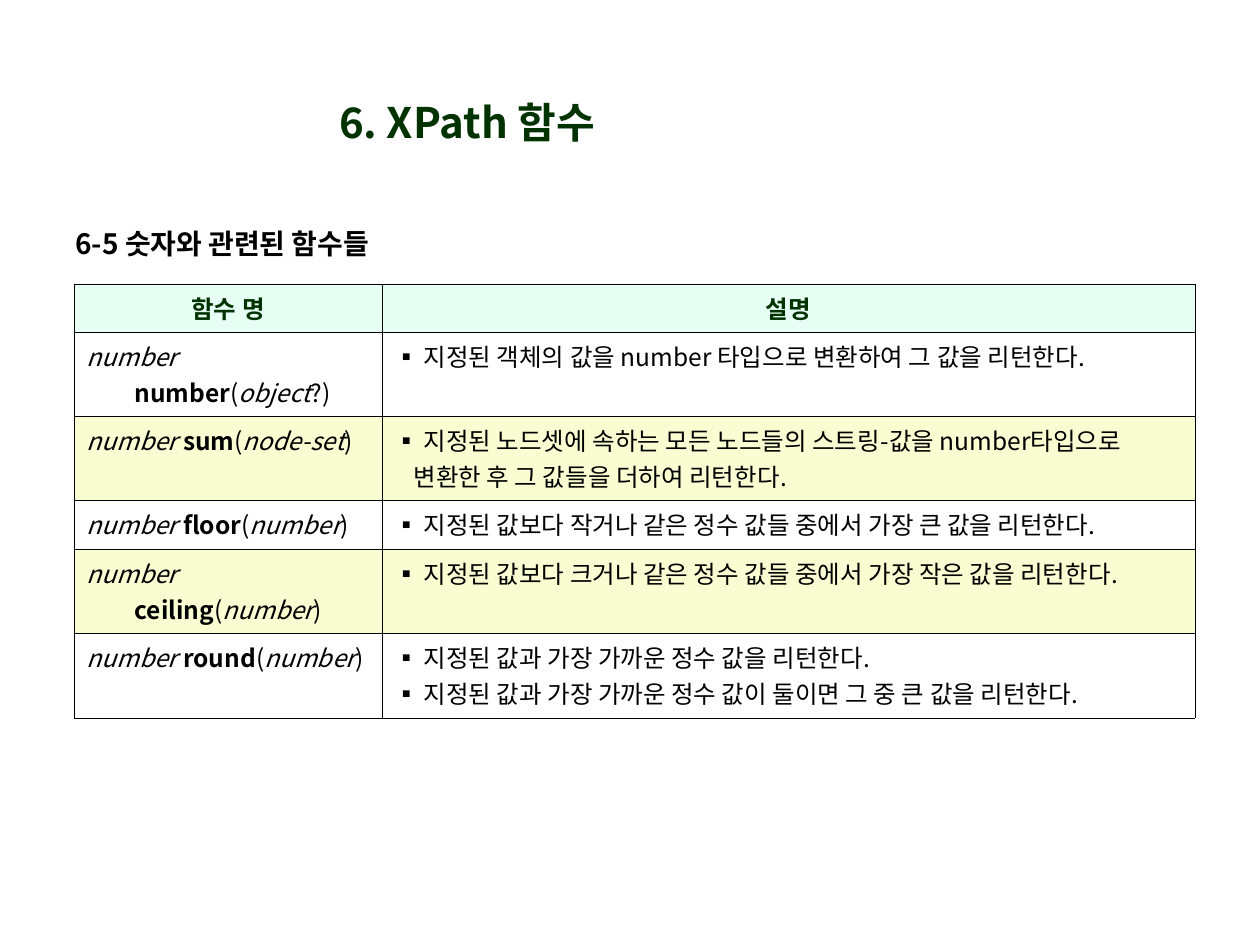
from lxml.etree import SubElement
from pptx import Presentation
from pptx.dml.color import RGBColor
from pptx.enum.text import MSO_ANCHOR as ANCHOR, PP_ALIGN as ALIGN
from pptx.oxml.ns import qn
from pptx.util import Emu, Pt

FONT = "Noto Sans CJK KR"
BLACK = RGBColor(0x00, 0x00, 0x00)
GREEN = RGBColor(0x00, 0x33, 0x00)
MINT = RGBColor(0xE6, 0xFE, 0xF4)
CREAM = RGBColor(0xF9, 0xFD, 0xD1)

TITLE = dict(size=Pt(24), bold=True, color=GREEN)
SUBTITLE = dict(size=Pt(16), bold=True, color=BLACK)
HEADER = dict(size=Pt(14), bold=True, color=GREEN)
BODY = dict(size=Pt(14), bold=False, italic=False, color=BLACK)

# Pixel measures of the table
COLS = (308, 813)
HEIGHTS = (48, 84, 84, 49, 84, 85)
HANG = 48          # hanging indent of a signature
BULLET_HANG = 29   # bullet to text
CONTINUED = 19     # indent of a continued line

HEADINGS = ("함수 명", "설명")
# name, argument, closing text, bulleted lines, continued line
FUNCTIONS = (
    ("number", "object", "?)",
     ["지정된 객체의 값을 number 타입으로 변환하여 그 값을 리턴한다."], None),
    ("sum", "node-set", ")",
     ["지정된 노드셋에 속하는 모든 노드들의 스트링-값을 number타입으로"],
     "변환한 후 그 값들을 더하여 리턴한다."),
    ("floor", "number", ")",
     ["지정된 값보다 작거나 같은 정수 값들 중에서 가장 큰 값을 리턴한다."], None),
    ("ceiling", "number", ")",
     ["지정된 값보다 크거나 같은 정수 값들 중에서 가장 작은 값을 리턴한다."], None),
    ("round", "number", ")",
     ["지정된 값과 가장 가까운 정수 값을 리턴한다.",
      "지정된 값과 가장 가까운 정수 값이 둘이면 그 중 큰 값을 리턴한다."], None),
)


def px(n):
    return Emu(round(n * 914400 / 126))


def add_run(p, text, style):
    r = p.add_run()
    r.text = text
    r.font.name = FONT
    for key, value in style.items():
        if key == "color":
            r.font.color.rgb = value
        else:
            setattr(r.font, key, value)
    SubElement(r.font._element, qn("a:ea")).set("typeface", FONT)


def set_indent(p, left, first=0):
    pPr = p._p.get_or_add_pPr()
    pPr.set("marL", str(px(left)))
    pPr.set("indent", str(px(first)))
    return pPr


def add_bullet(p):
    pPr = set_indent(p, BULLET_HANG, -BULLET_HANG)
    SubElement(pPr, qn("a:buFont")).set("typeface", FONT)
    SubElement(pPr, qn("a:buChar")).set("char", "▪")


def add_text(slide, box, text, style, align, anchor):
    tf = slide.shapes.add_textbox(*map(px, box)).text_frame
    tf.word_wrap = True
    tf.vertical_anchor = anchor
    tf.paragraphs[0].alignment = align
    add_run(tf.paragraphs[0], text, style)


def format_cell(cell, color):
    tcPr = cell._tc.get_or_add_tcPr()
    for side in ("lnL", "lnR", "lnT", "lnB"):
        ln = SubElement(tcPr, qn(f"a:{side}"), w=str(Pt(0.45)))
        fill = SubElement(ln, qn("a:solidFill"))
        SubElement(fill, qn("a:srgbClr"), val=str(BLACK))
    if color is None:
        cell.fill.background()
    else:
        cell.fill.solid()
        cell.fill.fore_color.rgb = color


def write_signature(cell, name, arg, closing):
    p = cell.text_frame.paragraphs[0]
    set_indent(p, HANG, -HANG)
    italic, bold = dict(BODY, italic=True), dict(BODY, bold=True)
    for text, style in (("number ", italic), (name, bold), ("(", BODY),
                        (arg, italic), (closing, BODY)):
        add_run(p, text, style)


def write_description(cell, lines, continued):
    tf = cell.text_frame
    for i, line in enumerate(lines):
        p = tf.add_paragraph() if i else tf.paragraphs[0]
        add_bullet(p)
        add_run(p, line, BODY)
    if continued:
        p = tf.add_paragraph()
        set_indent(p, CONTINUED)
        add_run(p, continued, BODY)


def add_function_table(slide, left, top):
    table = slide.shapes.add_table(
        len(HEIGHTS), len(COLS), px(left), px(top),
        px(sum(COLS)), px(sum(HEIGHTS))).table
    table.first_row = table.horz_banding = False
    for col, width in zip(table.columns, COLS):
        col.width = px(width)
    for i, (row, height) in enumerate(zip(table.rows, HEIGHTS)):
        row.height = px(height)
        color = MINT if i == 0 else CREAM if i % 2 == 0 else None
        for cell in row.cells:
            format_cell(cell, color)

    # Header row
    for cell, heading in zip(table.rows[0].cells, HEADINGS):
        p = cell.text_frame.paragraphs[0]
        p.alignment = ALIGN.CENTER
        add_run(p, heading, HEADER)

    # One row per function
    for i, (name, arg, closing, lines, continued) in enumerate(FUNCTIONS, 1):
        write_signature(table.cell(i, 0), name, arg, closing)
        write_description(table.cell(i, 1), lines, continued)


def main():
    prs = Presentation()
    prs.slide_width, prs.slide_height = px(1260), px(945)
    slide = prs.slides.add_slide(prs.slide_layouts[6])
    add_text(slide, (213, 43, 508, 157), "6. XPath 함수", TITLE,
             ALIGN.CENTER, ANCHOR.MIDDLE)
    add_text(slide, (63, 220, 1143, 54), "6-5 숫자와 관련된 함수들", SUBTITLE,
             ALIGN.JUSTIFY, ANCHOR.TOP)
    add_function_table(slide, 74, 284)
    prs.save("out.pptx")


if __name__ == "__main__":
    main()
